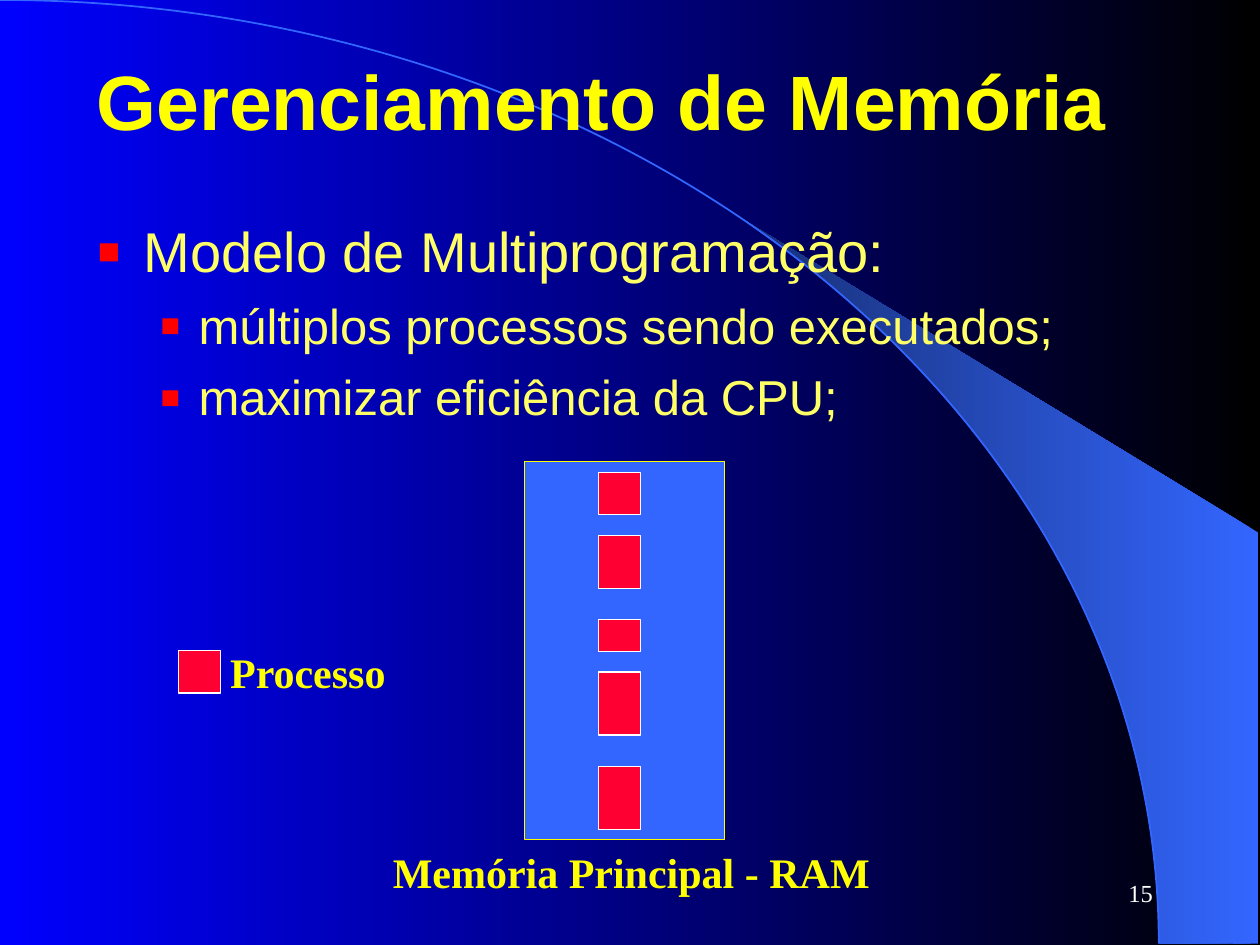
import math
from dataclasses import dataclass

import pptx
import pptx.dml.color
import pptx.enum.shapes
import pptx.enum.text
import pptx.oxml
import pptx.oxml.ns
import pptx.util
from pptx.util import Cm

MSO_SHAPE = pptx.enum.shapes.MSO_SHAPE
ALIGN = pptx.enum.text.PP_ALIGN
ANCHOR = pptx.enum.text.MSO_ANCHOR
AUTO_SIZE = pptx.enum.text.MSO_AUTO_SIZE


@dataclass(frozen=True)
class Theme:
    sans: str = "Arial"
    serif: str = "Times New Roman"
    black: str = "000000"
    white: str = "FFFFFF"
    deep_blue: str = "0000FF"
    blue: str = "3366FF"
    dark_blue: str = "172F75"
    yellow: str = "FFFF00"
    pale_yellow: str = "FFFF66"
    process: str = "FF0033"
    bullet: str = "FF0000"
    title_size: int = 44
    list_sizes: tuple = (32, 28)
    label_size: int = 24
    number_size: int = 14


def rgb(color):
    return pptx.dml.color.RGBColor.from_string(color)


class SlideBuilder:
    def __init__(self, page, theme):
        self.page = page
        self.theme = theme

    def gradient(self, fill, first, last):
        fill.gradient()
        fill.gradient_angle = 180
        for stop, color in zip(fill.gradient_stops, (first, last)):
            stop.color.rgb = rgb(color)

    def span(self, para, text, size, color, font, bold=False):
        span = para.add_run()
        span.text = text
        span.font.name = font
        span.font.size = pptx.util.Pt(size)
        span.font.bold = bold
        span.font.color.rgb = rgb(color)

    def place(self, box, left, top, width, height):
        box.left, box.top = Cm(left), Cm(top)
        box.width, box.height = Cm(width), Cm(height)

    def send_to_back(self, shape):
        tree = self.page.shapes._spTree
        tree.remove(shape._element)
        tree.insert(2, shape._element)

    def arc(self, radius_x, radius_y):
        arc = self.page.shapes.add_shape(
            MSO_SHAPE.ARC, Cm(-radius_x), Cm(0), Cm(2 * radius_x), Cm(2 * radius_y))
        arc.shadow.inherit = False
        arc.fill.background()
        arc.line.color.rgb = rgb(self.theme.blue)
        arc.line.width = pptx.util.Pt(1)
        self.send_to_back(arc)

    def beam(self, radius_x, radius_y, start_degrees, right, right_top, steps=24):
        curve = []
        for step in range(steps + 1):
            angle = math.radians(start_degrees + (90 - start_degrees) * step / steps)
            curve.append((Cm(radius_x * math.sin(angle)),
                          Cm(radius_y * (1 - math.cos(angle)))))
        corners = [(Cm(right), Cm(radius_y)), (Cm(right), Cm(right_top))]
        outline = self.page.shapes.build_freeform(*curve[0])
        outline.add_line_segments(curve[1:] + corners, close=True)
        beam = outline.convert_to_shape()
        beam.shadow.inherit = False
        self.gradient(beam.fill, self.theme.blue, self.theme.dark_blue)
        beam.line.fill.background()
        self.send_to_back(beam)

    def title(self, text, *area):
        box = self.page.shapes.title
        self.place(box, *area)
        frame = box.text_frame
        frame.vertical_anchor = ANCHOR.MIDDLE
        para = frame.paragraphs[0]
        para.alignment = ALIGN.LEFT
        self.span(para, text, self.theme.title_size, self.theme.yellow,
                  self.theme.sans, True)

    def bullet(self, para, left, hanging):
        properties = para._p.get_or_add_pPr()
        properties.set("marL", str(Cm(left)))
        properties.set("indent", str(-Cm(hanging)))
        namespace = pptx.oxml.ns.nsdecls("a")
        for markup in (
            f'<a:buClr {namespace}><a:srgbClr val="{self.theme.bullet}"/></a:buClr>',
            f'<a:buSzPct {namespace} val="130000"/>',
            f'<a:buFont {namespace} typeface="{self.theme.sans}"/>',
            f'<a:buChar {namespace} char="▪"/>',
        ):
            properties.append(pptx.oxml.parse_xml(markup))

    def bullets(self, items, *area):
        box = self.page.placeholders[1]
        self.place(box, *area)
        frame = box.text_frame
        frame.auto_size = AUTO_SIZE.NONE
        indents = ((0.95, 0.95), (2.06, 0.79))
        for index, (level, text) in enumerate(items):
            para = frame.add_paragraph() if index else frame.paragraphs[0]
            self.bullet(para, *indents[level])
            para.level = level
            para.alignment = ALIGN.JUSTIFY
            para.space_before = pptx.util.Pt(7 if index else 0)
            self.span(para, text, self.theme.list_sizes[level],
                      self.theme.pale_yellow, self.theme.sans)

    def block(self, fill, line, *area):
        block = self.page.shapes.add_shape(MSO_SHAPE.RECTANGLE, *map(Cm, area))
        block.shadow.inherit = False
        block.fill.solid()
        block.fill.fore_color.rgb = rgb(fill)
        block.line.color.rgb = rgb(line)
        block.line.width = pptx.util.Pt(0.75)

    def process(self, left, top, height):
        self.block(self.theme.process, self.theme.white, left, top, 0.85, height)

    def label(self, text, *area):
        frame = self.page.shapes.add_textbox(*map(Cm, area)).text_frame
        frame.word_wrap = False
        frame.auto_size = AUTO_SIZE.NONE
        para = frame.paragraphs[0]
        para.alignment = ALIGN.LEFT
        self.span(para, text, self.theme.label_size,
                  self.theme.yellow, self.theme.serif, True)

    def number(self, text, *area):
        frame = self.page.shapes.add_textbox(*map(Cm, area)).text_frame
        frame.word_wrap = True
        frame.vertical_anchor = ANCHOR.MIDDLE
        para = frame.paragraphs[0]
        para.alignment = ALIGN.RIGHT
        self.span(para, text, self.theme.number_size, self.theme.white,
                  self.theme.serif)


def main():
    deck = pptx.Presentation()
    deck.slide_width, deck.slide_height = Cm(25.4), Cm(19.05)
    page = deck.slides.add_slide(deck.slide_layouts[1])
    theme = Theme()
    slide = SlideBuilder(page, theme)

    slide.gradient(page.background.fill, theme.black, theme.deep_blue)
    radii = (23.36, 19.02)
    slide.arc(*radii)
    slide.beam(*radii, start_degrees=39.8, right=25.37, right_top=10.74)

    slide.title("Gerenciamento de Memória", 1.69, 0.42, 22.86, 3.18)
    slide.bullets([
        (0, "Modelo de Multiprogramação:"),
        (1, "múltiplos processos sendo executados;"),
        (1, "maximizar eficiência da CPU;"),
    ], 1.69, 4.23, 22.86, 12.7)

    slide.label("Memória Principal - RAM", 7.67, 16.93, 10.3, 1.27)
    slide.block(theme.blue, theme.yellow, 10.58, 9.31, 4.02, 7.62)
    for top, height in ((9.53, 0.85), (10.8, 1.06), (12.49, 0.64),
                        (13.55, 1.27), (15.45, 1.27)):
        slide.process(12.07, top, height)

    slide.process(3.6, 13.12, 0.85)
    slide.label("Processo", 4.39, 12.9, 3.8, 1.27)
    slide.number("15", 18.2, 17.36, 5.29, 1.27)

    deck.save("out.pptx")


if __name__ == "__main__":
    main()
